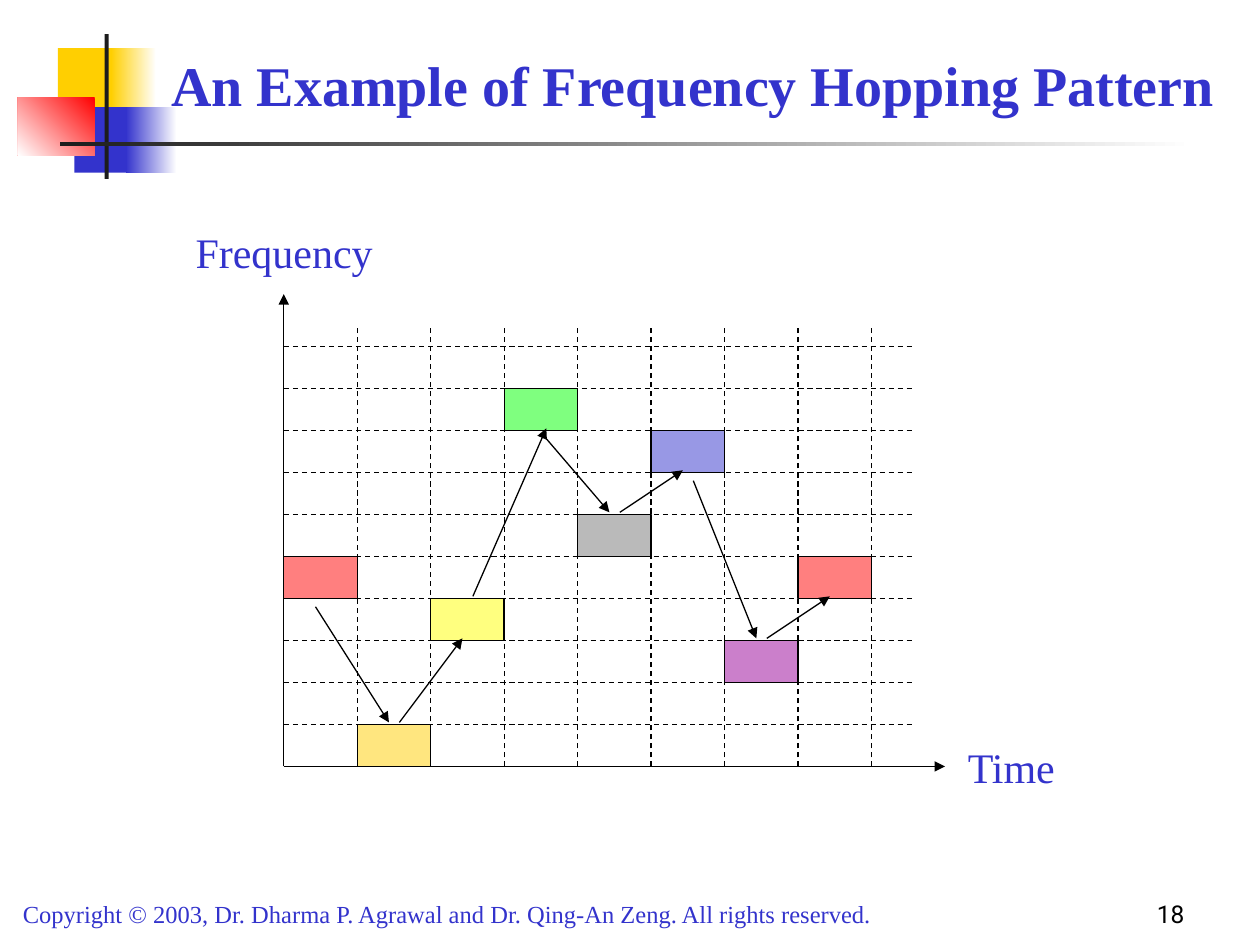
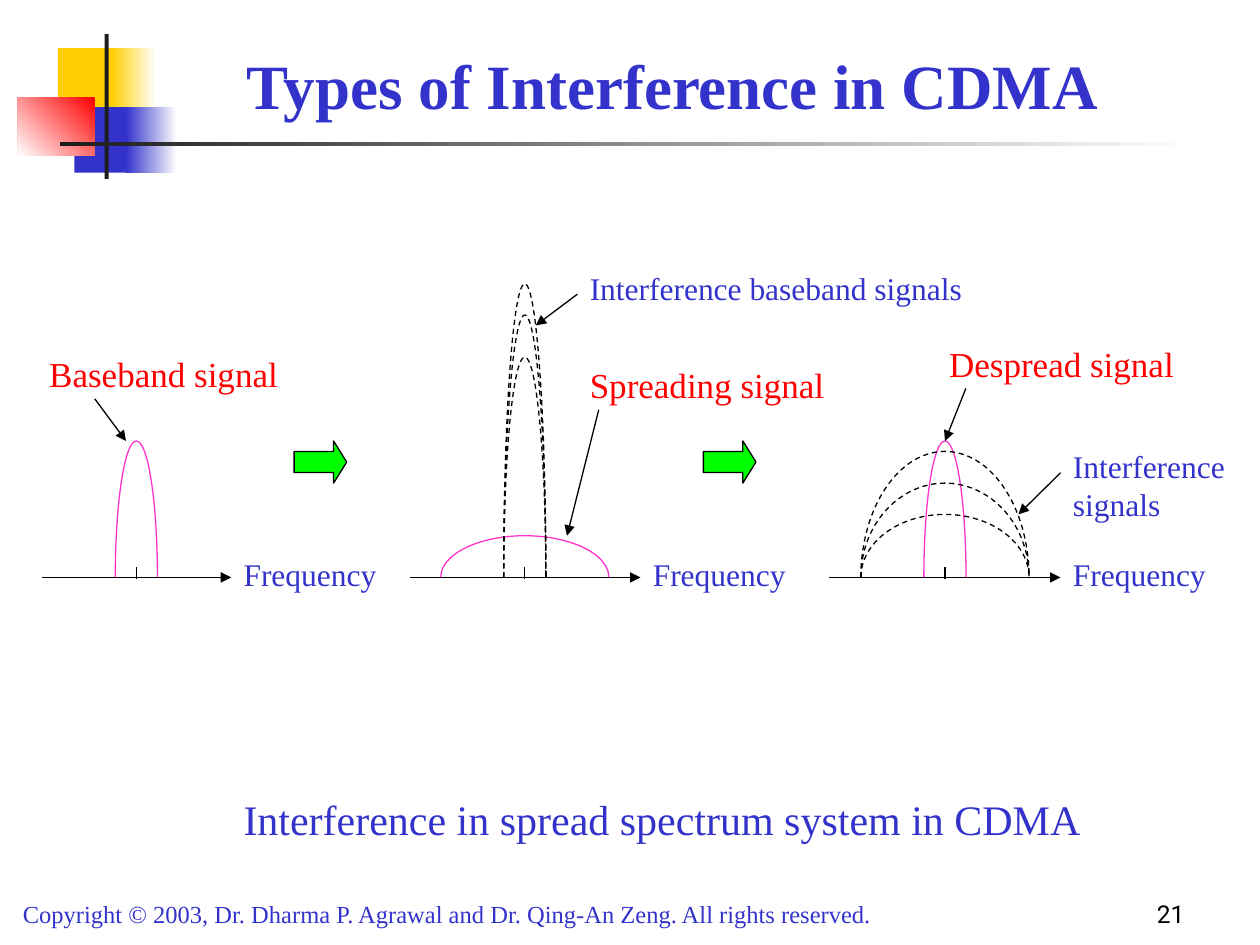
from lxml.etree import SubElement
from pptx import Presentation
from pptx.dml.color import RGBColor
from pptx.enum.dml import MSO_LINE_DASH_STYLE as Dash
from pptx.enum.shapes import MSO_CONNECTOR as Connector, MSO_SHAPE as Shape
from pptx.enum.text import MSO_ANCHOR as Anchor, PP_ALIGN as Align
from pptx.oxml.ns import qn
from pptx.util import Cm, Pt

BLACK = RGBColor(0x00, 0x00, 0x00)
WHITE = RGBColor(0xFF, 0xFF, 0xFF)
CHARCOAL = RGBColor(0x1C, 0x1C, 0x1C)
GREY = RGBColor(0x77, 0x77, 0x77)
BLUE = RGBColor(0x33, 0x33, 0xCC)
GOLD = RGBColor(0xFF, 0xCF, 0x01)
RED = RGBColor(0xFF, 0x00, 0x00)
YELLOW = RGBColor(0xFF, 0xFF, 0x00)
GREEN = RGBColor(0x00, 0xFF, 0x00)
PURPLE = RGBColor(0x99, 0x00, 0x99)
PINK = RGBColor(0xFF, 0x33, 0xCC)

SERIF = "Times New Roman"
SANS = "Roboto"
COPYRIGHT = ("Copyright © 2003, Dr. Dharma P. Agrawal and Dr. Qing-An Zeng. "
             "All rights reserved.")


class Deck:
    line_width = Pt(0.75)

    def __init__(self):
        self.presentation = Presentation()
        self.presentation.slide_width = Cm(25.4)
        self.presentation.slide_height = Cm(19.05)
        self.slide = None

    def add_slide(self, title, title_box, title_size, number):
        layout = self.presentation.slide_layouts[6]
        self.slide = self.presentation.slides.add_slide(layout)
        self.emblem()
        self.text(COPYRIGHT, (0.21, 17.99, 19.26, 0.87), 14)
        self.text(title, title_box, title_size, bold=True,
                  align=Align.CENTER, anchor=Anchor.MIDDLE)
        self.text(str(number), (18.84, 17.57, 5.29, 1.27), 14, BLACK, SANS,
                  align=Align.RIGHT, anchor=Anchor.BOTTOM)

    def emblem(self):
        self.shape((1.17, 0.97, 1.22, 1.32), GOLD)
        self.gradient((2.24, 0.97, 0.91, 1.32), WHITE, GOLD)
        self.shape((1.5, 2.16, 1.17, 1.32), BLUE)
        self.gradient((2.54, 2.16, 1.02, 1.32), WHITE, BLUE)
        self.gradient((0.36, 1.96, 1.55, 1.17), RED, WHITE, 225)
        self.shape((2.11, 0.69, 0.08, 2.92), CHARCOAL)
        self.gradient((1.22, 2.87, 22.86, 0.08), WHITE, CHARCOAL)

    def shape(self, box, fill=None, outline=None, kind=Shape.RECTANGLE,
              dash=None, alpha=None):
        shape = self.slide.shapes.add_shape(kind, *map(Cm, box))
        shape.shadow.inherit = False
        if fill is None:
            shape.fill.background()
        else:
            shape.fill.solid()
            shape.fill.fore_color.rgb = fill
        if alpha is not None:
            colour = next(shape.fill._xPr.iter(qn("a:srgbClr")))
            SubElement(colour, qn("a:alpha"), val=str(alpha * 1000))
        if outline is None:
            shape.line.fill.background()
        else:
            self.stroke(shape.line, outline, dash)
        return shape

    def gradient(self, box, first, last, angle=180):
        fill = self.shape(box).fill
        fill.gradient()
        fill.gradient_angle = angle
        for stop, colour in zip(fill.gradient_stops, (first, last)):
            stop.color.rgb = colour

    def stroke(self, line, colour, dash=None):
        line.color.rgb = colour
        line.width = self.line_width
        if dash:
            line.dash_style = dash

    def line(self, start, end, arrow=False, dash=None):
        connector = self.slide.shapes.add_connector(
            Connector.STRAIGHT, *map(Cm, (*start, *end)))
        self.stroke(connector.line, BLACK, dash)
        if arrow:
            SubElement(connector.line._get_or_add_ln(), qn("a:tailEnd"),
                       type="triangle")
        SubElement(connector._element.spPr, qn("a:effectLst"))

    def arch(self, centre, width, top, base, colour, dash=None):
        box = (centre - width / 2, top, width, 2 * (base - top))
        shape = self.shape(box, outline=colour, kind=Shape.ARC, dash=dash)
        shape.adjustments[0] = 108
        shape.adjustments[1] = 0

    def block_arrow(self, left, top):
        shape = self.shape((left, top, 1.06, 0.85), GREEN, BLACK,
                           Shape.RIGHT_ARROW)
        shape.adjustments[1] = 0.31

    def text(self, words, box, size, colour=BLUE, font=SERIF, bold=False,
             align=Align.LEFT, anchor=Anchor.TOP):
        frame = self.slide.shapes.add_textbox(*map(Cm, box)).text_frame
        frame.word_wrap = True
        frame.vertical_anchor = anchor
        paragraph = frame.paragraphs[0]
        paragraph.alignment = align
        run = paragraph.add_run()
        run.text = words
        run.font.name = font
        run.font.size = Pt(size)
        run.font.bold = bold
        run.font.color.rgb = colour


def hopping_slide(deck):
    deck.add_slide("An Example of Frequency Hopping Pattern",
                   (3.18, 0.64, 21.59, 2.12), 32, 18)
    left, base = 5.72, 15.45
    cell_width, cell_height = 11.85 / 8, 8.47 / 10
    near, far = 0.64, 0.85
    gap, wide_gap = 0.04, 0.17

    deck.line((left, base), (left, 5.93), arrow=True)
    deck.line((left, base), (19.05, base), arrow=True)
    for column in range(1, 9):
        x = left + column * cell_width
        deck.line((x, base), (x, 6.56), dash=Dash.DASH)
    for row in range(1, 11):
        y = base - row * cell_height
        deck.line((left, y), (18.42, y), dash=Dash.DASH)

    # row, colour, arrival offset, departure offset
    hops = [
        (4, RED, near, near),
        (0, GOLD, near, far),
        (3, YELLOW, near, far),
        (8, GREEN, far, far),
        (5, GREY, near, far),
        (7, BLUE, near, far),
        (2, PURPLE, near, far),
        (4, RED, near, far),
    ]
    for column, (row, colour, _, _) in enumerate(hops):
        box = (left + column * cell_width, base - (row + 1) * cell_height,
               cell_width, cell_height)
        deck.shape(box, colour, BLACK, alpha=50)

    deck.text("Time", (19.26, 14.82, 3.18, 1.27), 24)
    deck.text("Frequency", (3.61, 4.45, 4.24, 1.27), 24, align=Align.CENTER)

    for column, (hop, following) in enumerate(zip(hops, hops[1:])):
        row, next_row = hop[0], following[0]
        bottom, next_bottom = (base - r * cell_height for r in (row, next_row))
        if next_row < row:
            start_y = bottom + wide_gap
            end_y = next_bottom - cell_height - gap
        else:
            start_y = bottom - cell_height - gap
            end_y = next_bottom - gap
        x = left + column * cell_width
        deck.line((x + hop[3], start_y),
                  (x + cell_width + following[2], end_y), arrow=True)


def interference_slide(deck):
    deck.add_slide("Types of Interference in CDMA",
                   (2.97, 0.64, 21.17, 2.12), 36, 21)
    base = 11.64
    narrow, wide = 0.85, 3.39
    baseband, spread, despread = 2.75, 10.58, 19.05

    for centre, start, end in ((baseband, 0.85, 4.66),
                               (spread, 8.26, 12.91),
                               (despread, 16.72, 21.38)):
        deck.line((start, base), (end, base), arrow=True)
        deck.line((centre, base + 0.04), (centre, 11.43))
        deck.text("Frequency", (end, 11.07, 3.39, 1.02), 18)

    for centre, width, top in ((baseband, narrow, 8.89),
                               (spread, wide, 10.8),
                               (despread, narrow, 8.89)):
        deck.arch(centre, width, top, base, PINK)
    for centre, width, tops in ((spread, narrow, (5.72, 6.35, 7.2)),
                                (despread, wide, (9.1, 9.74, 10.37))):
        for top in tops:
            deck.arch(centre, width, top, base, BLACK, Dash.DASH)

    for left in (5.93, 14.18):
        deck.block_arrow(left, 8.89)

    deck.text("Baseband signal", (0.55, 6.99, 5.5, 1.12), 20, RED,
              align=Align.CENTER)
    deck.text("Spreading signal", (11.64, 7.2, 5.72, 1.12), 20, RED)
    deck.text("Despread signal", (18.54, 6.77, 5.72, 1.12), 20, RED,
              align=Align.CENTER)
    deck.text("Interference baseband signals", (11.64, 5.29, 8.26, 1.02), 18)
    deck.text("Interference signals", (21.38, 8.89, 3.61, 1.78), 18)
    deck.text("Interference in spread spectrum system in CDMA",
              (4.66, 15.88, 18.63, 1.27), 24)

    for start, end in (((1.91, 8.04), (2.54, 8.89)),
                       ((11.64, 5.93), (10.8, 6.56)),
                       ((12.07, 8.26), (11.43, 10.8)),
                       ((21.38, 9.53), (20.53, 10.37)),
                       ((19.47, 7.83), (19.05, 8.89))):
        deck.line(start, end, arrow=True)


def main():
    deck = Deck()
    hopping_slide(deck)
    interference_slide(deck)
    deck.presentation.save("out.pptx")


if __name__ == "__main__":
    main()
